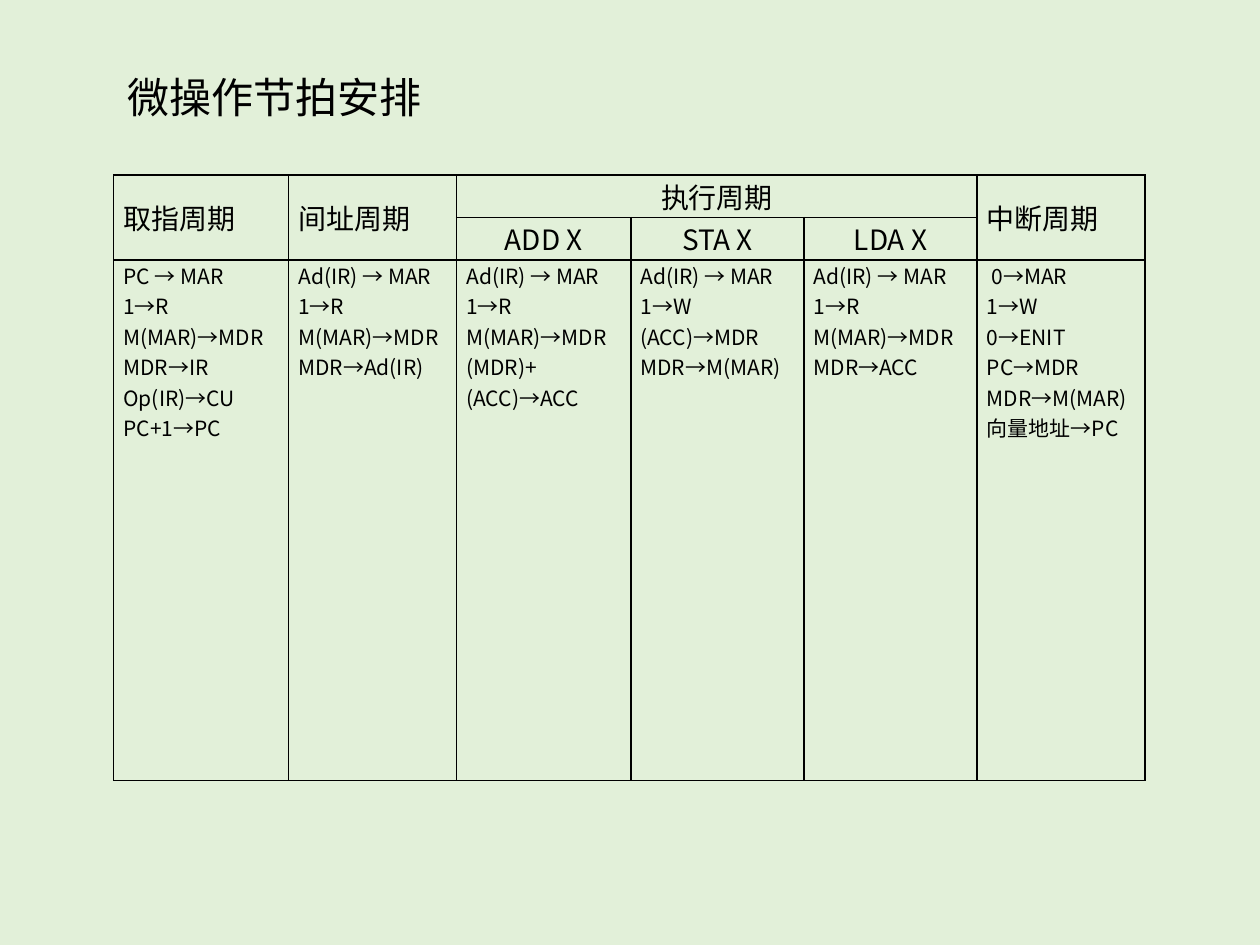
from dataclasses import dataclass

from lxml import etree
from pptx import Presentation
from pptx import util as u
from pptx.dml import color
from pptx.enum import text
from pptx.oxml import ns


@dataclass(frozen=True)
class Theme:
    font: str = "Noto Sans CJK SC"
    background: str = "E2F0D9"
    ink: str = "000000"
    title_size: float = 24
    header_size: float = 16
    body_size: float = 12
    border: float = 1
    margin: float = 5.5


THEME = Theme()
JUSTIFY, CENTER = text.PP_ALIGN.JUSTIFY, text.PP_ALIGN.CENTER

COLUMN_WIDTHS = [100, 96, 99.5, 99, 99, 96]
ROW_HEIGHTS = [24.3, 24.3, 297.4]
MERGES = [((0, 0), (1, 0)), ((0, 1), (1, 1)), ((0, 2), (0, 4)), ((0, 5), (1, 5))]
HEADERS = [
    (0, 0, "取指周期", JUSTIFY),
    (0, 1, "间址周期", JUSTIFY),
    (0, 2, "执行周期", CENTER),
    (0, 5, "中断周期", JUSTIFY),
    (1, 2, "ADD X", CENTER),
    (1, 3, "STA X", CENTER),
    (1, 4, "LDA X", CENTER),
]
MICRO_OPERATIONS = [
    ["PC → MAR", "1→R", "M(MAR)→MDR", "MDR→IR", "Op(IR)→CU", "PC+1→PC"],
    ["Ad(IR) → MAR", "1→R", "M(MAR)→MDR", "MDR→Ad(IR)"],
    ["Ad(IR) → MAR", "1→R", "M(MAR)→MDR", "(MDR)+(ACC)→ACC"],
    ["Ad(IR) → MAR", "1→W", "(ACC)→MDR", "MDR→M(MAR)"],
    ["Ad(IR) → MAR", "1→R", "M(MAR)→MDR", "MDR→ACC"],
    [" 0→MAR", "1→W", "0→ENIT", "PC→MDR", "MDR→M(MAR)", "向量地址→PC"],
]


class SlideBuilder:
    """Draws themed elements on the current slide, with lengths in points."""

    def __init__(self, presentation, theme):
        self.theme = theme
        self.slide = presentation.slides.add_slide(presentation.slide_layouts[5])
        fill = self.slide.background.fill
        fill.solid()
        fill.fore_color.rgb = color.RGBColor.from_string(theme.background)

    def set_text(self, frame, lines, size, alignment):
        frame.text = "\n".join(lines)
        for paragraph in frame.paragraphs:
            paragraph.alignment = alignment
            font = paragraph.font
            font.size = u.Pt(size)
            font.name = self.theme.font
            font.color.rgb = color.RGBColor.from_string(self.theme.ink)
            properties = paragraph._p.pPr.find(ns.qn("a:defRPr"))
            etree.SubElement(properties, ns.qn("a:ea"), typeface=self.theme.font)

    def title(self, wording, left, top, width, height):
        shape = self.slide.shapes.title
        shape.left, shape.top = u.Pt(left), u.Pt(top)
        shape.width, shape.height = u.Pt(width), u.Pt(height)
        frame = shape.text_frame
        frame.auto_size = text.MSO_AUTO_SIZE.NONE
        frame.vertical_anchor = text.MSO_ANCHOR.MIDDLE
        self.set_text(frame, [wording], self.theme.title_size, text.PP_ALIGN.LEFT)

    def table(self, left, top, widths, heights, merges):
        frame = self.slide.shapes.add_table(
            len(heights), len(widths), u.Pt(left), u.Pt(top),
            u.Pt(sum(widths)), u.Pt(sum(heights)))
        table = frame.table
        table.first_row = table.horz_banding = False
        for column, width in zip(table.columns, widths):
            column.width = u.Pt(width)
        for row, height in zip(table.rows, heights):
            row.height = u.Pt(height)
        for cell in table.iter_cells():
            self.borders(cell)
            cell.fill.background()
            cell.margin_left = cell.margin_right = u.Pt(self.theme.margin)
            cell.margin_top = cell.margin_bottom = 0
        for first, last in merges:
            table.cell(*first).merge(table.cell(*last))
        return table

    def borders(self, cell):
        properties = cell._tc.get_or_add_tcPr()
        for side in ("lnL", "lnR", "lnT", "lnB"):
            line = etree.SubElement(
                properties, ns.qn(f"a:{side}"), w=str(u.Pt(self.theme.border)))
            fill = etree.SubElement(line, ns.qn("a:solidFill"))
            etree.SubElement(fill, ns.qn("a:srgbClr"), val=self.theme.ink)

    def header(self, cell, wording, alignment):
        cell.vertical_anchor = text.MSO_ANCHOR.MIDDLE
        self.set_text(cell.text_frame, [wording], self.theme.header_size, alignment)

    def steps(self, cell, lines):
        cell.vertical_anchor = text.MSO_ANCHOR.TOP
        self.set_text(cell.text_frame, lines, self.theme.body_size, JUSTIFY)


def main():
    presentation = Presentation()
    presentation.slide_width, presentation.slide_height = u.Pt(720), u.Pt(540)
    builder = SlideBuilder(presentation, THEME)
    builder.title("微操作节拍安排", 65.5, 37.5, 402, 36)
    table = builder.table(65, 100, COLUMN_WIDTHS, ROW_HEIGHTS, MERGES)
    for row, column, wording, alignment in HEADERS:
        builder.header(table.cell(row, column), wording, alignment)
    for column, lines in enumerate(MICRO_OPERATIONS):
        builder.steps(table.cell(2, column), lines)
    presentation.save("out.pptx")


if __name__ == "__main__":
    main()
